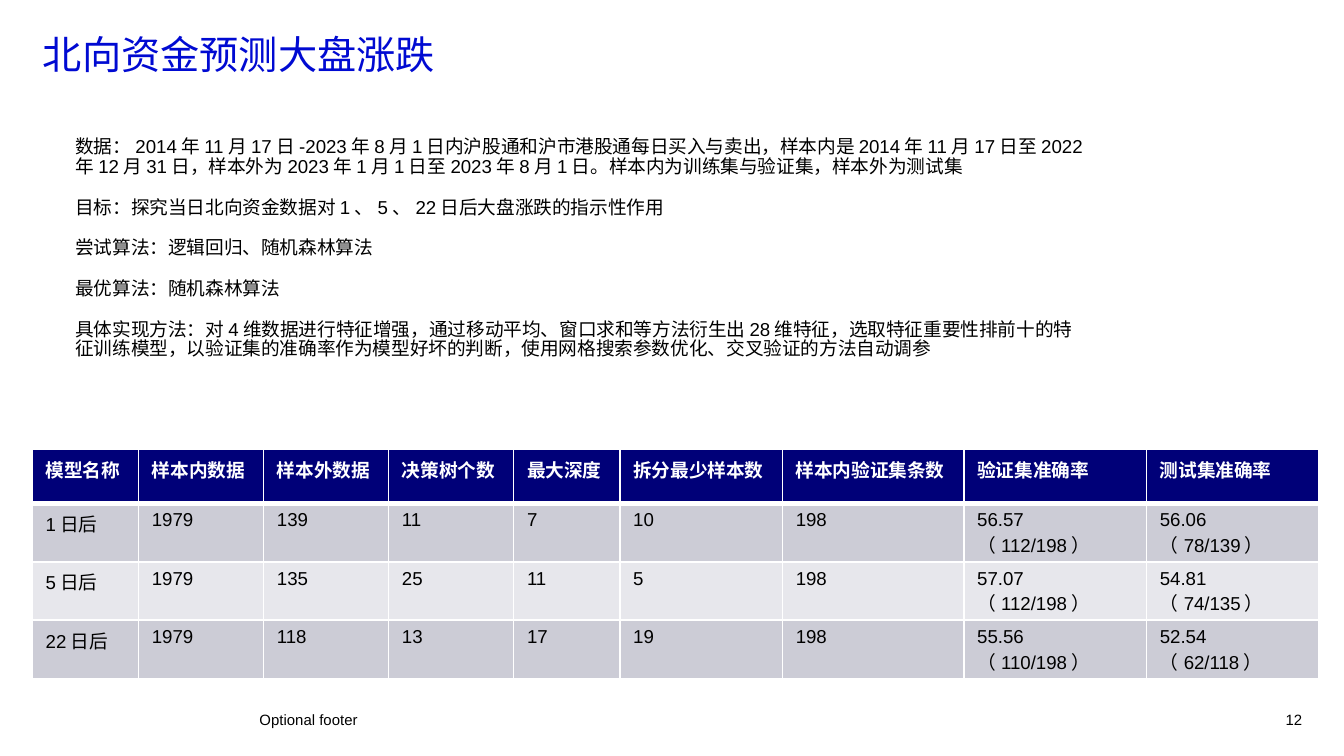
from lxml import etree
from pptx import Presentation
from pptx.dml.color import RGBColor
from pptx.enum import text as t
from pptx.oxml import ns
from pptx.util import Pt

BLACK = RGBColor(0, 0, 0)
WHITE = RGBColor(255, 255, 255)
BLUE = RGBColor(0x00, 0x0A, 0xD2)
NAVY = RGBColor(0x00, 0x00, 0x78)
BANDS = [RGBColor(0xCC, 0xCC, 0xD6), RGBColor(0xE7, 0xE7, 0xEC)]

POINTS = [
    "数据：2014年11月17日-2023年8月1日内沪股通和沪市港股通每日买入与卖出，样本内是2014年11月17日至2022年12月31日，"
    "样本外为2023年1月1日至2023年8月1日。样本内为训练集与验证集，样本外为测试集",
    "目标：探究当日北向资金数据对1、5、22日后大盘涨跌的指示性作用",
    "尝试算法：逻辑回归、随机森林算法",
    "最优算法：随机森林算法",
    "具体实现方法：对4维数据进行特征增强，通过移动平均、窗口求和等方法衍生出28维特征，选取特征重要性排前十的特征训练模型，"
    "以验证集的准确率作为模型好坏的判断，使用网格搜索参数优化、交叉验证的方法自动调参",
]
WIDTHS = [56.9, 67, 67, 67, 56.9, 87.1, 97.2, 97.9, 92.2]
HIGH = 29.2
ROWS = [
    ["模型名称", "样本内数据", "样本外数据", "决策树个数", "最大深度",
     "拆分最少样本数", "样本内验证集条数", "验证集准确率", "测试集准确率"],
    ["1日后", "1979", "139", "11", "7", "10", "198", "56.57（112/198）", "56.06（78/139）"],
    ["5日后", "1979", "135", "25", "11", "5", "198", "57.07（112/198）", "54.81（74/135）"],
    ["22日后", "1979", "118", "13", "17", "19", "198", "55.56（110/198）", "52.54（62/118）"],
]


def set_font(para, size, color, bold=False):
    font = para.font
    font.name = "Arial"
    font.size = Pt(size)
    font.bold = bold
    font.color.rgb = color


def add_text(slide, box, lines, size, color=BLACK, pitch=1.0, gap=0,
             anchor=t.MSO_ANCHOR.TOP, align=t.PP_ALIGN.LEFT):
    frame = slide.shapes.add_textbox(*map(Pt, box)).text_frame
    frame.word_wrap = True
    frame.vertical_anchor = anchor
    frame.margin_left = frame.margin_right = 0
    frame.margin_top = frame.margin_bottom = 0
    for i, line in enumerate(lines):
        para = frame.add_paragraph() if i else frame.paragraphs[0]
        para.text = line
        para.alignment = align
        para.line_spacing = pitch
        if i:
            para.space_before = Pt(gap)
        set_font(para, size, color)


def add_edge(cell, side, width):
    props = cell._tc.get_or_add_tcPr()
    line = etree.SubElement(props, ns.qn("a:" + side), w=str(Pt(width)))
    fill = etree.SubElement(line, ns.qn("a:solidFill"))
    etree.SubElement(fill, ns.qn("a:srgbClr"), val=str(WHITE))


def fill_cell(cell, value, row):
    head = row == 0
    cell.text = value
    set_font(cell.text_frame.paragraphs[0], 10, WHITE if head else BLACK, head)
    for side in ("lnL", "lnR", "lnT", "lnB"):
        thick = (row, side) in ((0, "lnB"), (1, "lnT"))
        add_edge(cell, side, 3 if thick else 1)
    cell.fill.solid()
    cell.fill.fore_color.rgb = NAVY if head else BANDS[(row - 1) % 2]


def add_grid(slide, left, top):
    frame = slide.shapes.add_table(len(ROWS), len(WIDTHS), Pt(left), Pt(top),
                                   Pt(sum(WIDTHS)), Pt(HIGH * len(ROWS)))
    table = frame.table
    for col, width in zip(table.columns, WIDTHS):
        col.width = Pt(width)
    for r, row in enumerate(ROWS):
        table.rows[r].height = Pt(HIGH)
        for c, value in enumerate(row):
            fill_cell(table.cell(r, c), value, r)


def main():
    deck = Presentation()
    deck.slide_width, deck.slide_height = Pt(720), Pt(405)
    slide = deck.slides.add_slide(deck.slide_layouts[6])
    mid = t.MSO_ANCHOR.MIDDLE
    add_text(slide, (139, 380.2, 465, 10.8), ["Optional footer"], 8, anchor=mid)
    add_text(slide, (669.6, 380.2, 28, 10.8), ["12"], 8, anchor=mid,
             align=t.PP_ALIGN.RIGHT)
    add_text(slide, (40.3, 74.2, 543.6, 138.2), POINTS, 10, pitch=0.86, gap=11.5)
    add_text(slide, (23, 19.4, 337, 44.6), ["北向资金预测大盘涨跌"], 21, BLUE, pitch=0.88)
    add_grid(slide, 17.3, 240.5)
    deck.save("out.pptx")


if __name__ == "__main__":
    main()
